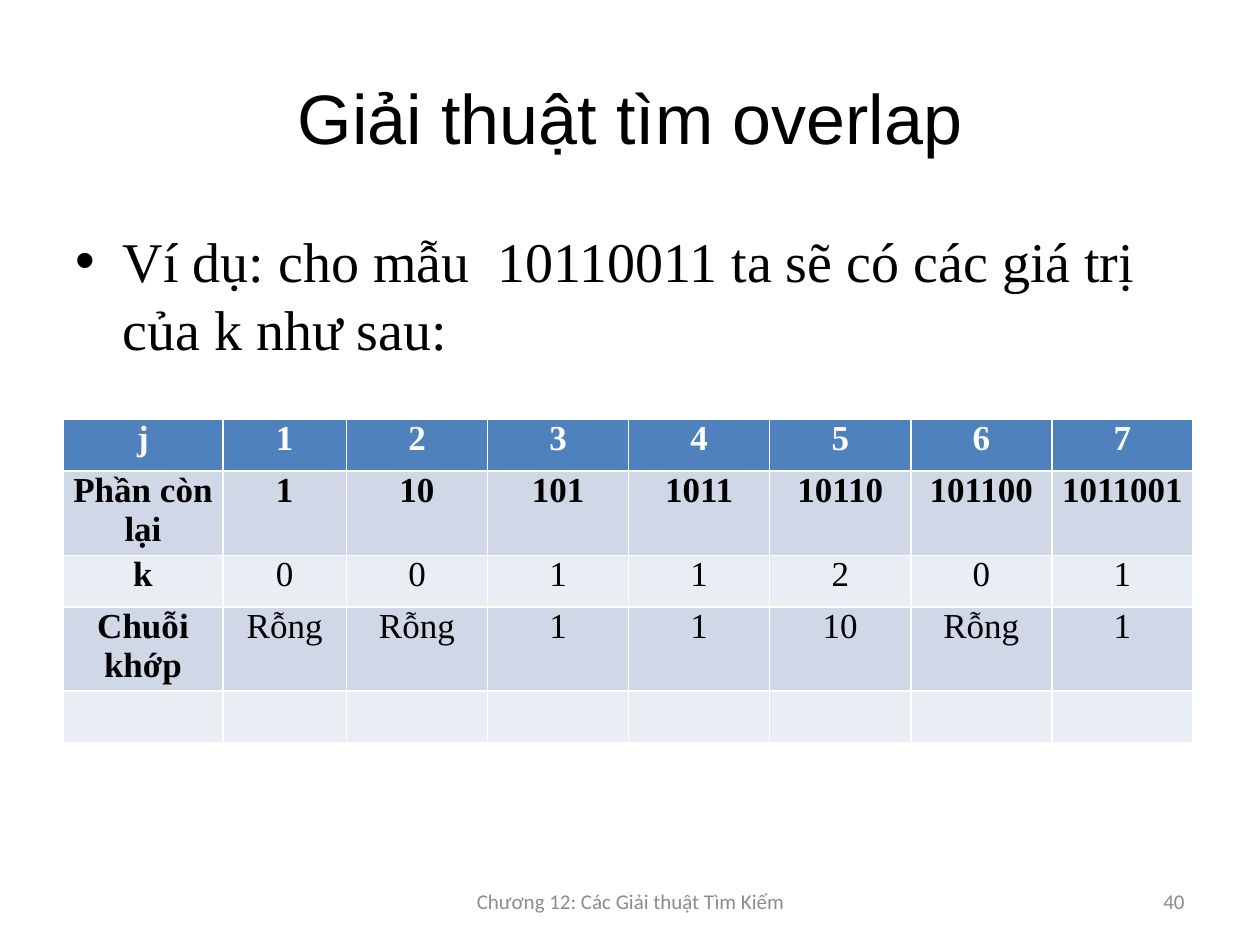
from pptx import Presentation
from pptx.dml.color import RGBColor
from pptx.enum.text import PP_ALIGN, MSO_ANCHOR
from pptx.util import Pt

UNIT = 9144
BLACK = RGBColor(0x00, 0x00, 0x00)
WHITE = RGBColor(0xFF, 0xFF, 0xFF)
GRAY = RGBColor(0x8C, 0x8C, 0x8C)
BLUE = RGBColor(0x4F, 0x81, 0xBD)
BAND = RGBColor(0xD0, 0xD8, 0xE8)
PALE = RGBColor(0xE9, 0xED, 0xF4)
SERIF = "Times New Roman"

TITLE = "Giải thuật tìm overlap"
BODY = "Ví dụ: cho mẫu  10110011 ta sẽ có các giá trị của k như sau:"
FOOTER = [
    ("Chương 12: Các Giải thuật Tìm Kiếm", (342, 695, 317, 40), PP_ALIGN.CENTER),
    ("40", (717, 695, 233, 40), PP_ALIGN.RIGHT),
]
ROWS = [
    ["j", "1", "2", "3", "4", "5", "6", "7"],
    ["Phần còn lại", "1", "10", "101", "1011", "10110", "101100", "1011001"],
    ["k", "0", "0", "1", "1", "2", "0", "1"],
    ["Chuỗi khớp", "Rỗng", "Rỗng", "1", "1", "10", "Rỗng", "1"],
    [""] * 8,
]
WIDTHS = [127, 98] + [112] * 6
HEIGHT = 41
BOLD_ROWS = 2


def px(*nums):
    return [n * UNIT for n in nums]


def put(item, fields):
    for name, value in fields.items():
        setattr(item, name, value)


def place(shape, box):
    put(shape, dict(zip(("left", "top", "width", "height"), px(*box))))


def write(frame, text, size, face, color, bold=False, **layout):
    para = frame.paragraphs[0]
    put(para, layout)
    run = para.add_run()
    run.text = text
    put(run.font, {"size": Pt(size), "name": face, "bold": bold})
    run.font.color.rgb = color


deck = Presentation()
deck.slide_width, deck.slide_height = px(1000, 750)
slide = deck.slides.add_slide(deck.slide_layouts[1])

title, body = slide.placeholders
place(title, (50, 30, 900, 125))
write(title.text_frame, TITLE, 40, "Arial", BLACK, alignment=PP_ALIGN.CENTER)
place(body, (50, 175, 900, 495))
write(body.text_frame, BODY, 32, SERIF, BLACK)

for text, box, align in FOOTER:
    frame = slide.shapes.add_textbox(*px(*box)).text_frame
    put(frame, {"word_wrap": True, "vertical_anchor": MSO_ANCHOR.MIDDLE})
    write(frame, text, 12, "Calibri", GRAY, alignment=align)

area = px(50, 333, sum(WIDTHS), HEIGHT * len(ROWS))
table = slide.shapes.add_table(len(ROWS), len(WIDTHS), *area).table
for col, width in zip(table.columns, px(*WIDTHS)):
    col.width = width

margins = dict(zip(
    ("margin_left", "margin_top", "margin_right", "margin_bottom"),
    px(7, 0, 7, 0)))
for r, row in enumerate(ROWS):
    table.rows[r].height = HEIGHT * UNIT
    for c, text in enumerate(row):
        cell = table.cell(r, c)
        cell.fill.solid()
        cell.fill.fore_color.rgb = BLUE if r == 0 else BAND if r % 2 else PALE
        if text:
            put(cell, margins)
            write(cell.text_frame, text, 20, SERIF, BLACK if r else WHITE,
                  bold=r < BOLD_ROWS or c == 0, alignment=PP_ALIGN.CENTER,
                  space_before=Pt(3), space_after=Pt(3))

deck.save("out.pptx")
